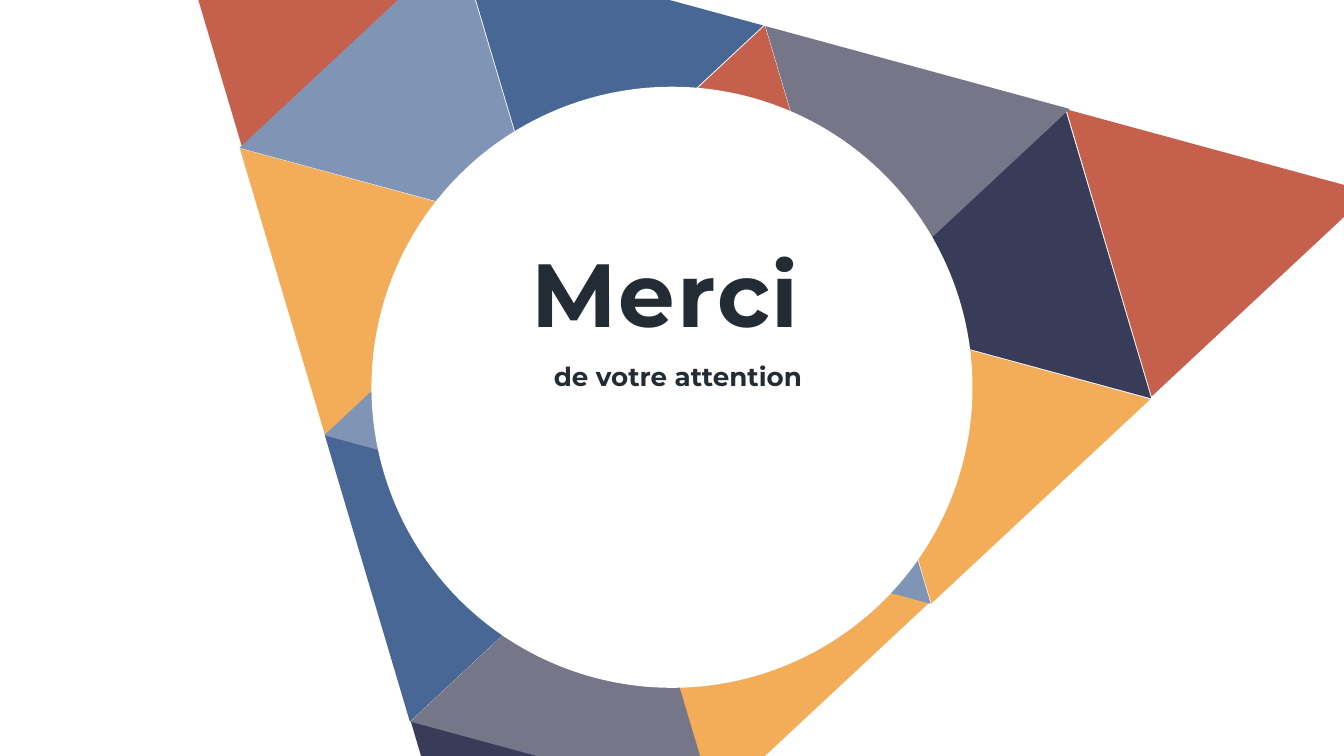
from dataclasses import dataclass

from pptx import Presentation
from pptx.dml.color import RGBColor
from pptx.enum.shapes import MSO_SHAPE
from pptx.enum.text import MSO_ANCHOR, MSO_AUTO_SIZE, PP_ALIGN
from pptx.oxml.ns import qn
from pptx.util import Pt

OVAL = MSO_SHAPE.OVAL
CENTER = PP_ALIGN.CENTER
TOP = MSO_ANCHOR.TOP
GROW = MSO_AUTO_SIZE.SHAPE_TO_FIT_TEXT

WHITE = RGBColor(0xFF, 0xFF, 0xFF)
INK = RGBColor(0x23, 0x2C, 0x34)
NAVY = RGBColor(0x38, 0x3C, 0x58)
RED = RGBColor(0xC4, 0x60, 0x4C)
ORANGE = RGBColor(0xF3, 0xAC, 0x58)
BLUE = RGBColor(0x48, 0x67, 0x94)
GREY = RGBColor(0x76, 0x76, 0x89)
PALE = RGBColor(0x80, 0x95, 0xB5)

# Corner offsets from a tile's apex, in points
APEX_BELOW = ((117.3, -109.4), (-45.7, -153.8))
APEX_ABOVE = ((45.7, 153.6), (-117.2, 109.4))


@dataclass(frozen=True)
class Tile:
    x: float
    y: float
    corners: tuple
    color: RGBColor


TILES = [
    Tile(571, 59.8, APEX_ABOVE, NAVY),
    Tile(129.6, 78.5, APEX_BELOW, RED),
    Tile(380.9, 432, APEX_BELOW, ORANGE),
    Tile(265.7, 540, APEX_BELOW, NAVY),
    Tile(219.6, 386.6, APEX_BELOW, BLUE),
    Tile(337, 277.2, APEX_ABOVE, GREY),
    Tile(291.6, 123.1, APEX_BELOW, BLUE),
    Tile(617, 212.4, APEX_BELOW, RED),
    Tile(174.2, 233.3, APEX_BELOW, ORANGE),
    Tile(455.8, 167.8, APEX_BELOW, GREY),
    Tile(499, 323.3, APEX_BELOW, ORANGE),
    Tile(409.7, 13.7, APEX_ABOVE, RED),
    Tile(290.9, 123.8, APEX_ABOVE, PALE),
    Tile(245.5, -30.2, APEX_ABOVE, PALE),
    Tile(452.9, 169.9, APEX_ABOVE, PALE),
]


def paint(shape, color: RGBColor) -> None:
    shape.fill.solid()
    shape.fill.fore_color.rgb = color
    shape.line.fill.background()
    shape.shadow.inherit = False


def draw_tile(shapes, tile: Tile) -> None:
    builder = shapes.build_freeform(Pt(tile.x), Pt(tile.y))
    builder.add_line_segments(
        [(Pt(tile.x + dx), Pt(tile.y + dy)) for dx, dy in tile.corners], close=True)
    paint(builder.convert_to_shape(), tile.color)


def write(holder, text: str, *, box: tuple, size: float, spacing: float = 0) -> None:
    """Place a placeholder in front of the tiles and fill it with bold centred text."""
    holder.left, holder.top, holder.width, holder.height = (Pt(v) for v in box)
    frame = holder.text_frame
    frame.word_wrap = False
    frame.auto_size = GROW
    frame.vertical_anchor = TOP
    paragraph = frame.paragraphs[0]
    paragraph.alignment = CENTER
    paragraph.space_before = Pt(0)
    run = paragraph.add_run()
    run.text = text
    run.font.name = "Montserrat"
    run.font.size = Pt(size)
    run.font.bold = True
    run.font.color.rgb = INK
    if spacing:
        for properties in holder.element.iter(qn("a:rPr")):
            properties.set("spc", str(round(spacing * 100)))
    holder.element.getparent().append(holder.element)


def main() -> None:
    deck = Presentation()
    deck.slide_width, deck.slide_height = Pt(720), Pt(405)
    slide = deck.slides.add_slide(deck.slide_layouts[0])

    # Triangle mosaic
    mosaic = slide.shapes.add_group_shape()
    for tile in TILES:
        draw_tile(mosaic.shapes, tile)

    # Central disc
    disc = slide.shapes.add_shape(OVAL, Pt(199), Pt(46.5), Pt(322), Pt(322))
    paint(disc, WHITE)

    # Closing words
    write(slide.shapes.title, "Merci", box=(272.9, 123.8, 167, 64.8), size=48, spacing=1.1)
    write(slide.placeholders[1], "de votre attention", box=(283.7, 189.4, 159.1, 23.8), size=14)

    deck.save("out.pptx")


if __name__ == "__main__":
    main()
